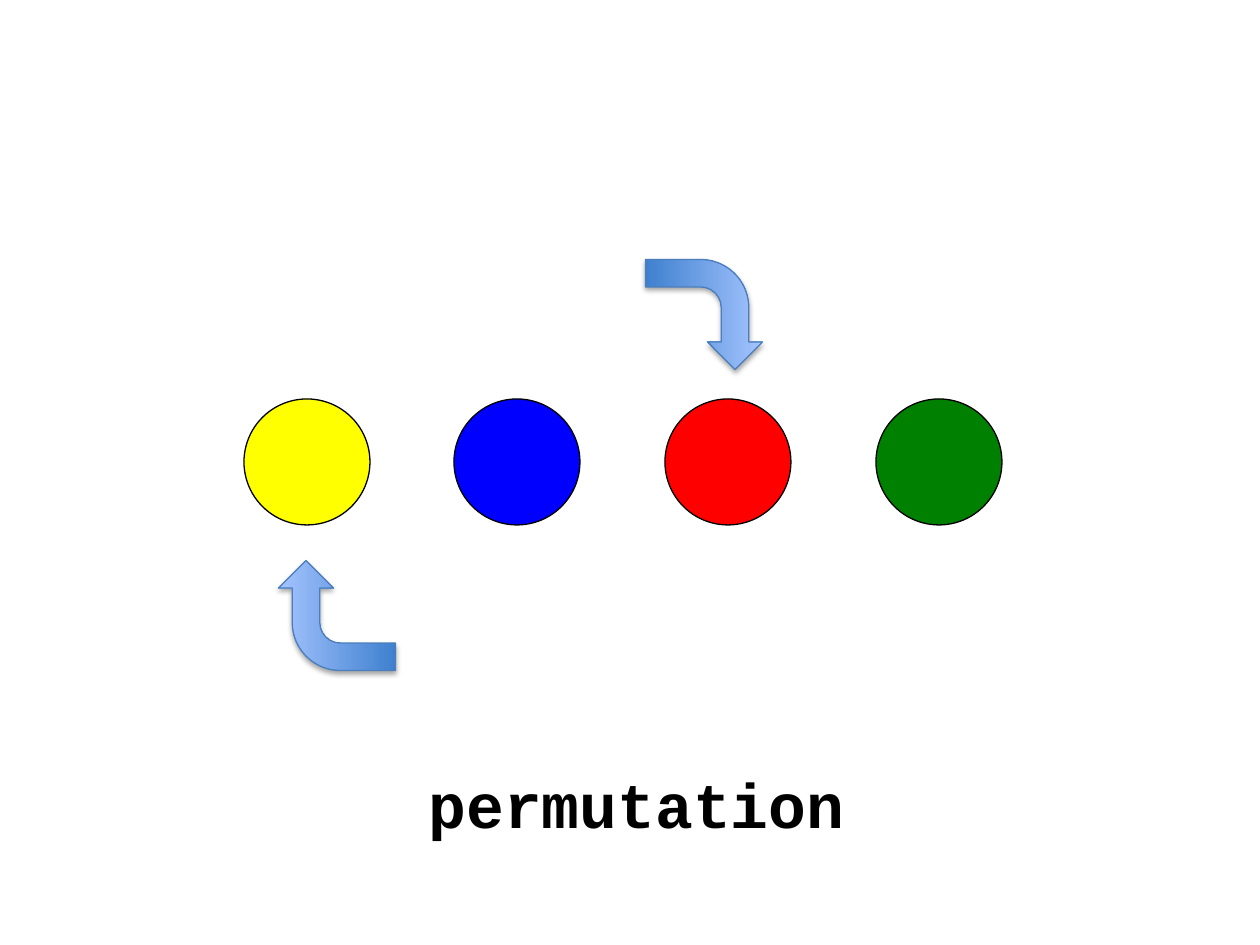
from lxml import etree
from pptx import Presentation
from pptx.dml.color import RGBColor
from pptx.enum.shapes import MSO_SHAPE
from pptx.enum.text import MSO_AUTO_SIZE, PP_ALIGN
from pptx.oxml.ns import qn
from pptx.util import Emu, Pt

OVAL = MSO_SHAPE.OVAL
BENT_ARROW = MSO_SHAPE.BENT_ARROW
CENTER = PP_ALIGN.CENTER
FIT_SHAPE = MSO_AUTO_SIZE.SHAPE_TO_FIT_TEXT

CAPTION = "permutation"
BALLS = ["yellow", "blue", "red", "green"]
ARROWS = [(649, 256, 90), (282, 557, 270)]
COLORS = {
    "yellow": "FFFF00",
    "blue": "0000FF",
    "red": "FF0000",
    "green": "008000",
    "black": "000000",
    "arrow_tail": "3F80CE",
    "arrow_head": "A4C4FF",
    "arrow_line": "4B7EBC",
}

EMU_PER_PX = 914400 // 126
SLIDE_SIZE = (1260, 945)
BALL_LEFT, BALL_TOP, BALL_SIZE = 244, 399, 126
LAST_BALL_LEFT = 876
ARROW_SIZE = (110, 117)
CAPTION_BOX = (334, 759, 605, 89)


def px(*lengths):
    return [Emu(length * EMU_PER_PX) for length in lengths]


def color(name):
    return RGBColor.from_string(COLORS[name])


def add_outlined_shape(slide, kind, box, line_color):
    shape = slide.shapes.add_shape(kind, *px(*box))
    shape.shadow.inherit = False
    shape.line.color.rgb = color(line_color)
    shape.line.width = Pt(0.75)
    return shape


def add_ball(slide, index, name):
    left = BALL_LEFT + (LAST_BALL_LEFT - BALL_LEFT) * index // (len(BALLS) - 1)
    box = (left, BALL_TOP, BALL_SIZE, BALL_SIZE)
    ball = add_outlined_shape(slide, OVAL, box, "black")
    ball.fill.solid()
    ball.fill.fore_color.rgb = color(name)


def add_drop_shadow(shape):
    effects = shape._element.spPr.find(qn("a:effectLst"))
    shadow = etree.SubElement(
        effects, qn("a:outerShdw"), blurRad=str(Pt(3.1)), dist=str(Pt(1.8)),
        dir="5400000", rotWithShape="0")
    shade = etree.SubElement(shadow, qn("a:srgbClr"), val=COLORS["black"])
    etree.SubElement(shade, qn("a:alpha"), val="35000")


def add_arrow(slide, left, top, rotation):
    arrow = add_outlined_shape(
        slide, BENT_ARROW, (left, top, *ARROW_SIZE), "arrow_line")
    arrow.rotation = rotation
    arrow.fill.gradient()
    arrow.fill.gradient_angle = 90
    for stop, name in zip(arrow.fill.gradient_stops, ("arrow_tail", "arrow_head")):
        stop.color.rgb = color(name)
    add_drop_shadow(arrow)


def add_caption(slide):
    text_frame = slide.shapes.add_textbox(*px(*CAPTION_BOX)).text_frame
    text_frame.word_wrap = True
    text_frame.auto_size = FIT_SHAPE
    text_frame.text = CAPTION
    paragraph = text_frame.paragraphs[0]
    paragraph.alignment = CENTER
    font = paragraph.runs[0].font
    font.name = "Courier New"
    font.size = Pt(36)
    font.bold = True
    font.color.rgb = color("black")


def main():
    presentation = Presentation()
    presentation.slide_width, presentation.slide_height = px(*SLIDE_SIZE)
    slide = presentation.slides.add_slide(presentation.slide_layouts[6])
    for index, name in enumerate(BALLS):
        add_ball(slide, index, name)
    for arrow in ARROWS:
        add_arrow(slide, *arrow)
    add_caption(slide)
    presentation.save("out.pptx")


if __name__ == "__main__":
    main()
